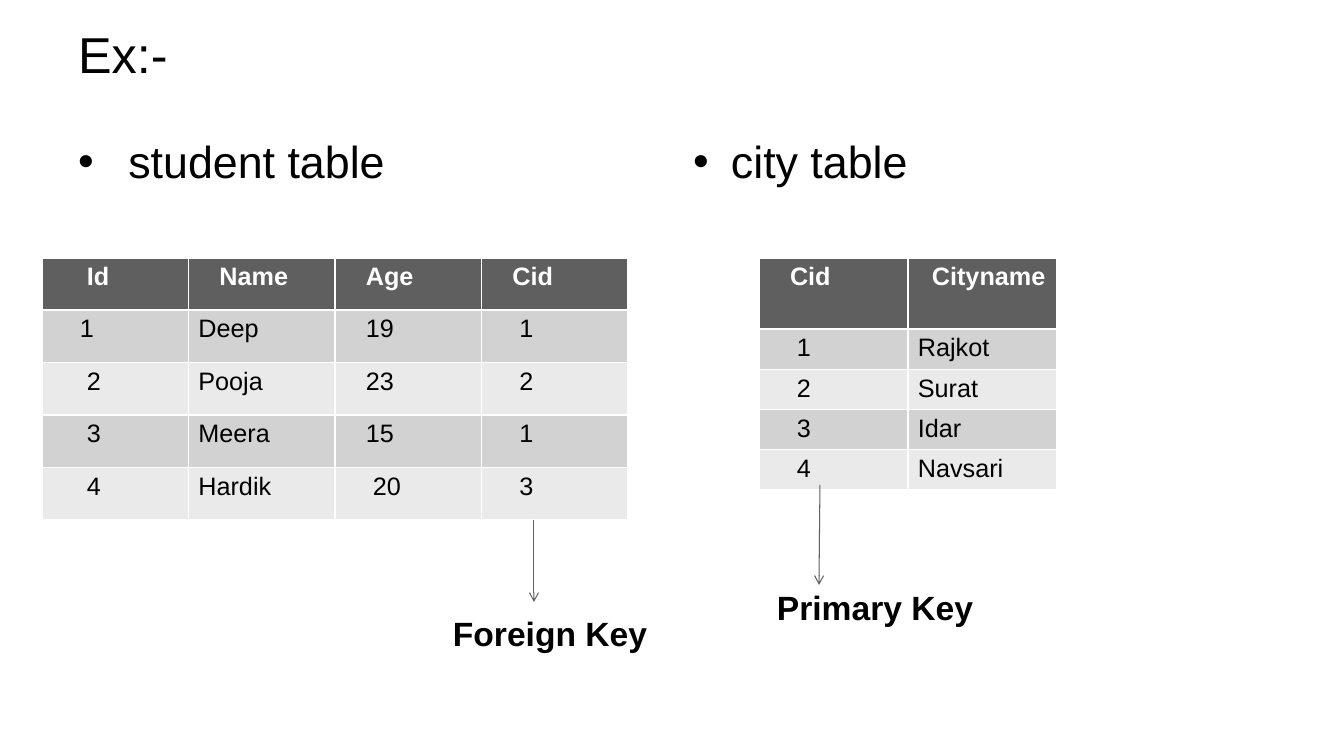
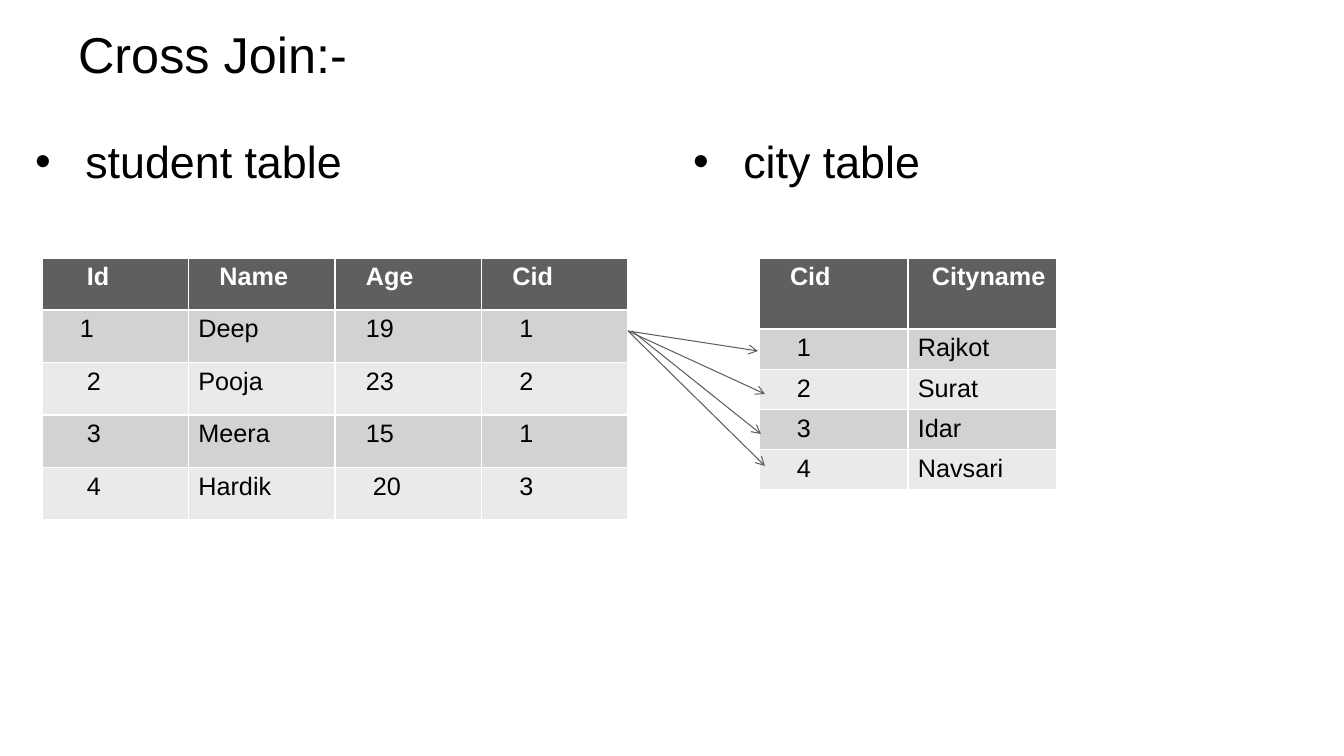
"""Two slides on foreign keys and cross joins between a student and a city table."""
from lxml import etree
from pptx import Presentation
from pptx.dml.color import RGBColor
from pptx.enum.shapes import MSO_CONNECTOR
from pptx.enum.text import PP_ALIGN
from pptx.oxml.ns import qn
from pptx.util import Pt

STRAIGHT = MSO_CONNECTOR.STRAIGHT
LEFT = PP_ALIGN.LEFT
PIXEL = 914400 / 100.8
BLACK, WHITE, DARK = "000000", "FFFFFF", "5F5F5F"
ROW_FILLS = ("EAEAEA", "D2D2D2")
CELL_INSET, INDENT_STEP = 10, 7


def px(*lengths):
    return [round(length * PIXEL) for length in lengths]


def style(paragraph, size, color=BLACK, bold=False):
    paragraph.alignment = LEFT
    font = paragraph.font
    font.name, font.size, font.bold = "Arial", Pt(size), bold
    font.color.rgb = RGBColor.from_string(color)


student_rows = [
    ["Id", "Name", "Age", "Cid"],
    ["1", "Deep", "19", "1"],
    ["2", "Pooja", "23", "2"],
    ["3", "Meera", "15", "1"],
    ["4", "Hardik", "20", "3"],
]
student_indents = [[5, 3, 3, 3], [4, 0, 3, 4], [5, 0, 3, 4], [5, 0, 3, 4], [5, 0, 4, 4]]
city_rows = [
    ["Cid", "Cityname"],
    ["1", "Rajkot"],
    ["2", "Surat"],
    ["3", "Idar"],
    ["4", "Navsari"],
]
city_indents = [[3, 2]] + [[4, 0]] * 4

tables = [
    (student_rows, student_indents, (42, 258, 586, 262), 52),
    (city_rows, city_indents, (759, 258, 298, 232), 71),
]
slides = [
    {
        "title": "Ex:-",
        "headings": [(" student table", (68, 129, 594, 586)),
                     ("city table", (683, 129, 594, 546))],
        "key_labels": [("Foreign Key", (453, 613, 210, 39)),
                       ("Primary Key", (777, 587, 210, 39))],
        "arrows": [(820, 485, 819, 585), (534, 520, 534, 602)],
    },
    {
        "title": "Cross Join:-",
        "headings": [(" student table", (25, 129, 635, 546)),
                     (" city table", (683, 129, 594, 546))],
        "key_labels": [],
        "arrows": [(628, 331, 758, 351), (628, 331, 765, 394),
                   (632, 331, 761, 434), (628, 331, 765, 466)],
    },
]

deck = Presentation()
deck.slide_width, deck.slide_height = px(1344, 756)
two_content = deck.slide_layouts[3]

for content in slides:
    slide = deck.slides.add_slide(two_content)
    title, *bodies = slide.placeholders
    title_entry = (content["title"], (68, 21, 1210, 65))
    for holder, (text, box), size in zip(
            [title, *bodies], [title_entry, *content["headings"]], (36, 32, 32)):
        holder.left, holder.top, holder.width, holder.height = px(*box)
        holder.text_frame.text = text
        style(holder.text_frame.paragraphs[0], size)

    for rows, indents, box, header_height in tables:
        table = slide.shapes.add_table(len(rows), len(rows[0]), *px(*box)).table
        for column in table.columns:
            column.width = px(box[2] / len(rows[0]))[0]
        body_height = (box[3] - header_height) / (len(rows) - 1)
        for r, (texts, steps) in enumerate(zip(rows, indents)):
            table.rows[r].height = px(body_height if r else header_height)[0]
            for c, (text, step) in enumerate(zip(texts, steps)):
                cell = table.cell(r, c)
                cell.text = text
                cell.margin_left = px(CELL_INSET + INDENT_STEP * step)[0]
                cell.margin_right = 0
                cell.fill.solid()
                fill = ROW_FILLS[r % 2] if r else DARK
                cell.fill.fore_color.rgb = RGBColor.from_string(fill)
                style(cell.text_frame.paragraphs[0], 18, BLACK if r else WHITE, r == 0)

    for text, box in content["key_labels"]:
        frame = slide.shapes.add_textbox(*px(*box)).text_frame
        frame.word_wrap = True
        frame.margin_left = frame.margin_right = frame.margin_top = frame.margin_bottom = 0
        frame.text = text
        style(frame.paragraphs[0], 24, bold=True)

    for ends in content["arrows"]:
        arrow = slide.shapes.add_connector(STRAIGHT, *px(*ends))
        arrow.line.color.rgb = RGBColor.from_string(DARK)
        arrow.line.width = Pt(0.75)
        etree.SubElement(arrow.get_or_add_ln(), qn("a:tailEnd"), type="arrow")
        etree.SubElement(arrow.element.spPr, qn("a:effectLst"))

deck.save("out.pptx")
